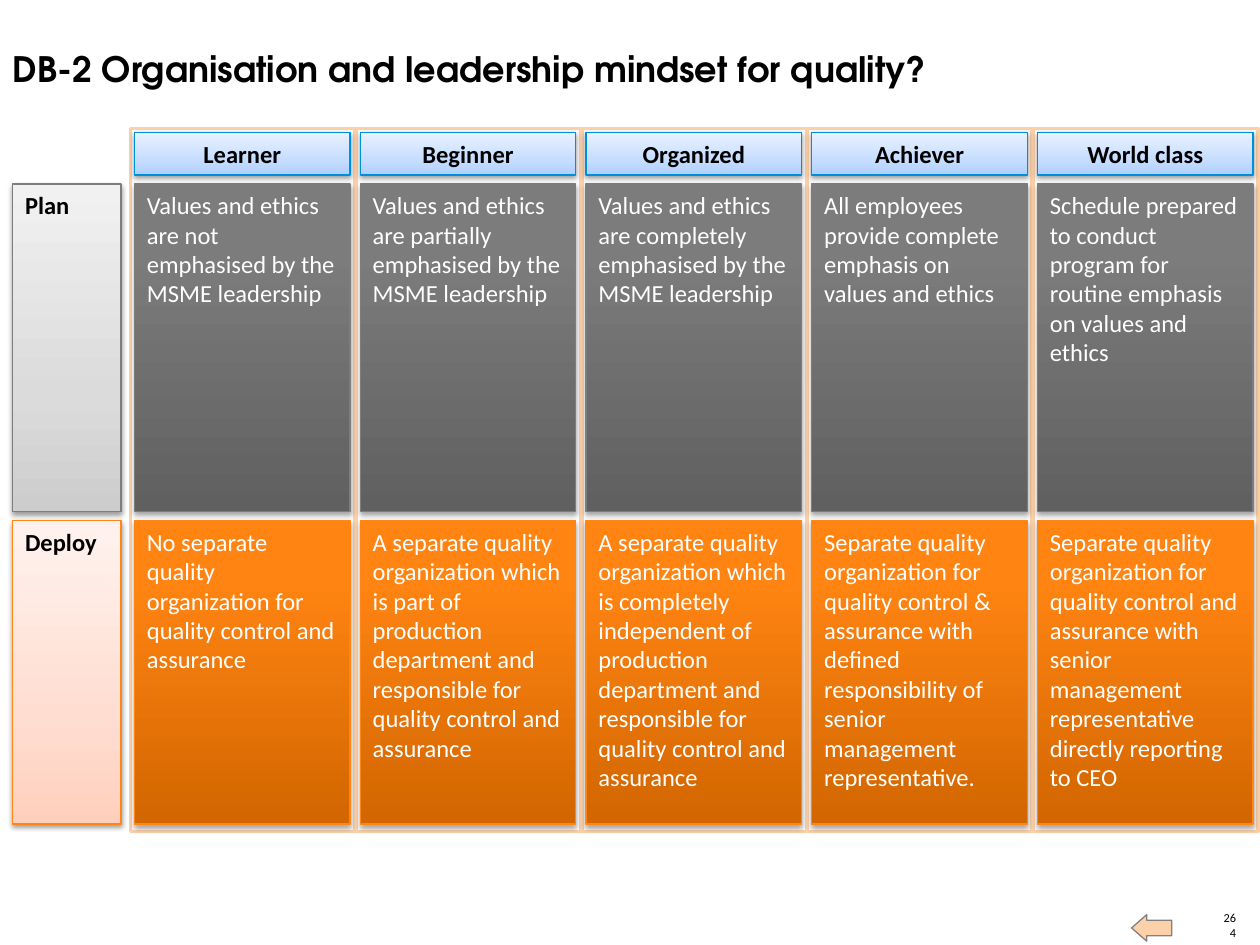
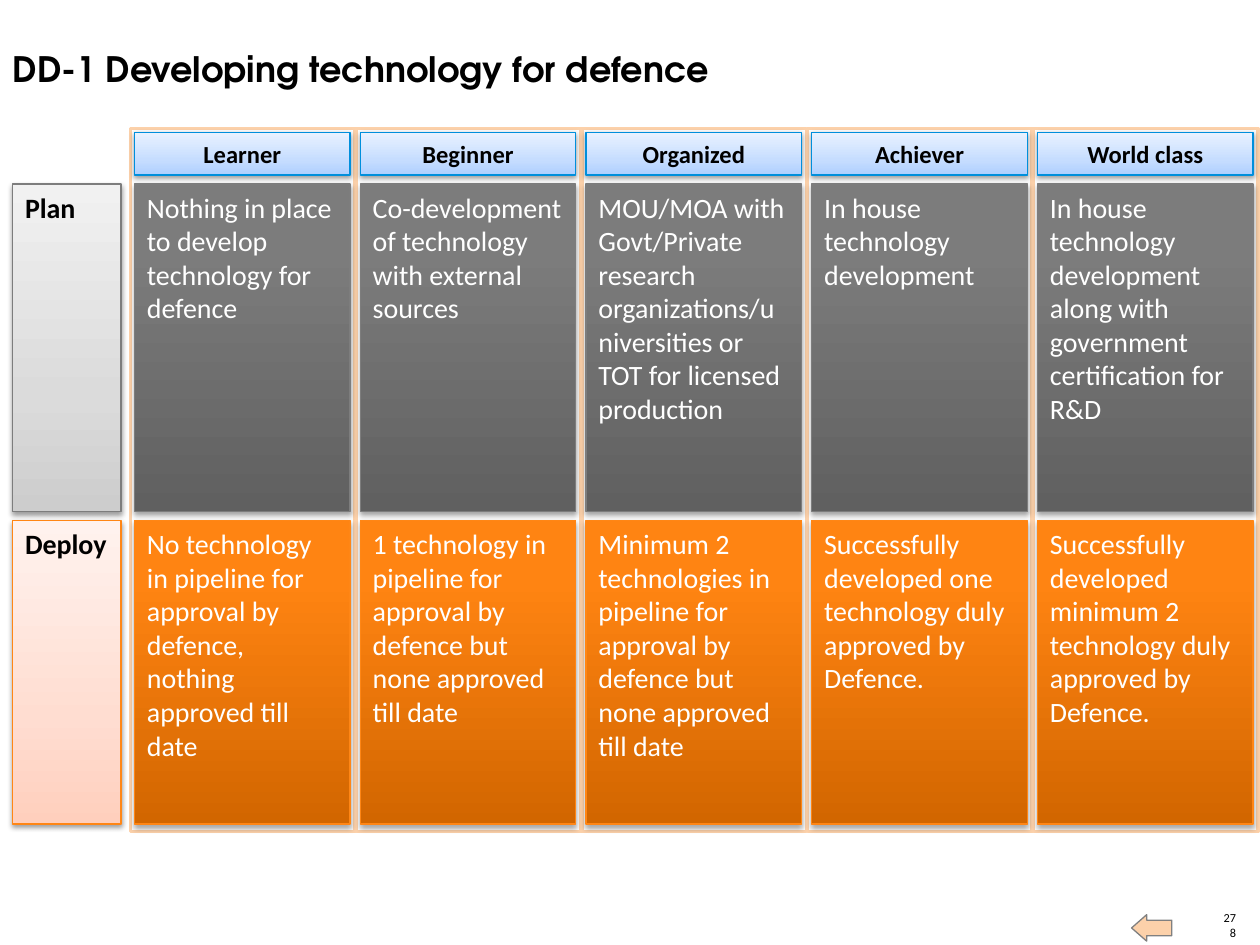
from dataclasses import dataclass

import copy
import lxml.etree
import pptx
import pptx.dml.color
import pptx.enum.shapes
import pptx.enum.text
import pptx.oxml.ns
import pptx.util

Pt = pptx.util.Pt
RGB = pptx.dml.color.RGBColor
SHAPE = pptx.enum.shapes.MSO_SHAPE
ANCHOR = pptx.enum.text.MSO_ANCHOR
ALIGN = pptx.enum.text.PP_ALIGN
qn = pptx.oxml.ns.qn

BLACK = RGB(0x00, 0x00, 0x00)
WHITE = RGB(0xFF, 0xFF, 0xFF)
GREY = RGB(0x7D, 0x7D, 0x7D)
ORANGE = RGB(0xFF, 0x86, 0x15)
BLUE = RGB(0x00, 0x8F, 0xDC)
PEACH = RGB(0xFC, 0xD1, 0xAA)
ARROW_LINE = RGB(0x80, 0x80, 0x80)

BODY_FONT = "Calibri"
TITLE_FONT = "TeX Gyre Adventor"
LEVELS = ("Learner", "Beginner", "Organized", "Achiever", "World class")

LABEL_LEFT, LABEL_WIDTH = 7.2, 62
CELL_LEFT, CELL_WIDTH, PITCH = 76.9, 123.2, 129
FRAME_LEFT, FRAME_TOP, FRAME_WIDTH, FRAME_HEIGHT = 74.6, 73.4, 128.3, 401.8
HEADER_TOP, HEADER_HEIGHT = 75.6, 24.5


@dataclass(frozen=True)
class Style:
    stops: tuple[tuple[float, RGB], ...]
    line: RGB
    color: RGB
    bold: bool
    shadow_alpha: int
    shadow_distance: float


@dataclass(frozen=True)
class Row:
    name: str
    top: float
    height: float
    label: Style
    cell: Style


@dataclass(frozen=True)
class Page:
    title: str
    number: str
    size: int
    texts: tuple[tuple[str, ...], ...]


def pale(bottom: RGB, middle: RGB, top: RGB, line: RGB) -> Style:
    return Style(((0, bottom), (0.35, middle), (1, top)), line, BLACK, True, 38, 1.6)


def strong(bottom: RGB, middle: RGB, top: RGB, line: RGB) -> Style:
    return Style(((0, bottom), (0.8, middle), (1, top)), line, WHITE, False, 35, 1.8)


HEADER = pale(RGB(0xAE, 0xCF, 0xFF), RGB(0xC6, 0xDD, 0xFF), RGB(0xE9, 0xF2, 0xFF), BLUE)
ROWS = (
    Row("Plan", 105.1, 187.2,
        pale(RGB(0xCD, 0xCD, 0xCD), RGB(0xDB, 0xDB, 0xDB), RGB(0xF1, 0xF1, 0xF1), GREY),
        strong(RGB(0x60, 0x60, 0x60), RGB(0x7C, 0x7C, 0x7C), GREY, GREY)),
    Row("Deploy", 297.4, 173.5,
        pale(RGB(0xFF, 0xCF, 0xBD), RGB(0xFF, 0xDD, 0xD1), RGB(0xFF, 0xF2, 0xEE), ORANGE),
        strong(RGB(0xD2, 0x66, 0x00), RGB(0xFF, 0x84, 0x12), RGB(0xFF, 0x85, 0x14), ORANGE)),
)

PAGES = (
    Page("DB-2 Organisation and leadership mindset for quality?", "264", 14, (
        ("Values and ethics are not emphasised by the MSME leadership",
         "Values and ethics are partially emphasised by the MSME leadership",
         "Values and ethics are completely emphasised by the MSME leadership",
         "All employees provide complete emphasis on values and ethics",
         "Schedule prepared to conduct program for routine emphasis on values and ethics"),
        ("No separate quality organization for quality control and assurance",
         "A separate quality organization which is part of production department "
         "and responsible for quality control and assurance",
         "A separate quality organization which is completely independent of production "
         "department and responsible for quality control and assurance",
         "Separate quality organization for quality control & assurance with defined "
         "responsibility of senior management representative.",
         "Separate quality organization for quality control and assurance with senior "
         "management representative directly reporting to CEO"),
    )),
    Page("DD-1 Developing technology for defence", "278", 16, (
        ("Nothing in place to develop technology for defence",
         "Co-development of technology with external sources",
         "MOU/MOA with Govt/Private research organizations/universities or TOT "
         "for licensed production",
         "In house technology development",
         "In house technology development along with government certification for R&D"),
        ("No technology in pipeline for approval by defence, nothing approved till date",
         "1 technology in pipeline for approval by defence but none approved till date",
         "Minimum 2 technologies in pipeline for approval by defence but none approved "
         "till date",
         "Successfully developed one technology duly approved by Defence.",
         "Successfully developed minimum 2 technology duly approved by Defence."),
    )),
)


def write(sp, text: str, *, size: float, font: str = BODY_FONT, color: RGB = BLACK,
          bold: bool = False, align=ALIGN.LEFT, anchor=ANCHOR.TOP, inset: bool = True) -> None:
    tf = sp.text_frame
    tf.word_wrap = True
    tf.auto_size = pptx.enum.text.MSO_AUTO_SIZE.NONE
    tf.vertical_anchor = anchor
    tf.margin_left = tf.margin_right = Pt(7.2 if inset else 0)
    tf.margin_top = tf.margin_bottom = Pt(3.6 if inset else 0)
    p = tf.paragraphs[0]
    p.alignment = align
    r = p.add_run()
    r.text = text
    r.font.name = font
    r.font.size = Pt(size)
    r.font.bold = bold
    r.font.color.rgb = color


def add_box(s, left: float, top: float, width: float, height: float, line: RGB,
            weight: float = 0.75, kind=SHAPE.RECTANGLE):
    sp = s.shapes.add_shape(kind, Pt(left), Pt(top), Pt(width), Pt(height))
    sp.shadow.inherit = False
    sp.line.color.rgb = line
    sp.line.width = Pt(weight)
    return sp


def add_shadow(sp, alpha: int, distance: float) -> None:
    effects = sp.element.spPr.find(qn("a:effectLst"))
    shadow = lxml.etree.SubElement(
        effects, qn("a:outerShdw"), blurRad=str(Pt(3.1)), dist=str(Pt(distance)),
        dir="5400000", rotWithShape="0")
    color = lxml.etree.SubElement(shadow, qn("a:srgbClr"), val=str(BLACK))
    lxml.etree.SubElement(color, qn("a:alpha"), val=str(alpha * 1000))


def add_panel(s, left: float, top: float, width: float, height: float, style: Style,
              text: str, size: float, **layout) -> None:
    sp = add_box(s, left, top, width, height, style.line)
    sp.fill.gradient()
    sp.fill.gradient_angle = 90
    first = sp.element.spPr.xpath(".//a:gs")[0]
    first.addnext(copy.deepcopy(first))
    for stop, (position, color) in zip(sp.fill.gradient_stops, style.stops):
        stop.position = position
        stop.color.rgb = color
    add_shadow(sp, style.shadow_alpha, style.shadow_distance)
    write(sp, text, size=size, color=style.color, bold=style.bold, **layout)


def add_footer(s, number: str) -> None:
    sp = s.shapes.add_textbox(Pt(697.7), Pt(528.5), Pt(8.6), Pt(8.6))
    write(sp, number, size=7, align=ALIGN.RIGHT, anchor=ANCHOR.BOTTOM, inset=False)
    arrow = add_box(s, 646.6, 522.7, 23, 15.1, ARROW_LINE, kind=SHAPE.RIGHT_ARROW)
    arrow.rotation = 180
    arrow.adjustments[0] = 0.59
    arrow.adjustments[1] = 0.57
    arrow.fill.solid()
    arrow.fill.fore_color.rgb = PEACH


def add_title(s, text: str) -> None:
    sp = s.shapes.title
    sp.left, sp.top, sp.width, sp.height = Pt(0), Pt(23.8), Pt(619.2), Pt(31.7)
    write(sp, text, size=20, font=TITLE_FONT, bold=True)


def build_page(prs, page: Page) -> None:
    s = prs.slides.add_slide(prs.slide_layouts[5])
    add_footer(s, page.number)
    add_title(s, page.title)
    for row in ROWS:
        add_panel(s, LABEL_LEFT, row.top, LABEL_WIDTH, row.height, row.label,
                  row.name, page.size)
    for i in range(len(LEVELS)):
        frame = add_box(s, FRAME_LEFT + i * PITCH, FRAME_TOP, FRAME_WIDTH, FRAME_HEIGHT,
                        PEACH, 2)
        frame.fill.solid()
        frame.fill.fore_color.rgb = WHITE
    for row, texts in zip(ROWS, page.texts):
        for i, text in enumerate(texts):
            add_panel(s, CELL_LEFT + i * PITCH, row.top, CELL_WIDTH, row.height, row.cell,
                      text, page.size)
    for i, level in enumerate(LEVELS):
        add_panel(s, CELL_LEFT + i * PITCH, HEADER_TOP, CELL_WIDTH, HEADER_HEIGHT, HEADER,
                  level, 14, align=ALIGN.CENTER, anchor=ANCHOR.MIDDLE)


def main() -> None:
    prs = pptx.Presentation()
    prs.slide_width, prs.slide_height = Pt(720), Pt(540)
    for page in PAGES:
        build_page(prs, page)
    prs.save("out.pptx")


if __name__ == "__main__":
    main()
